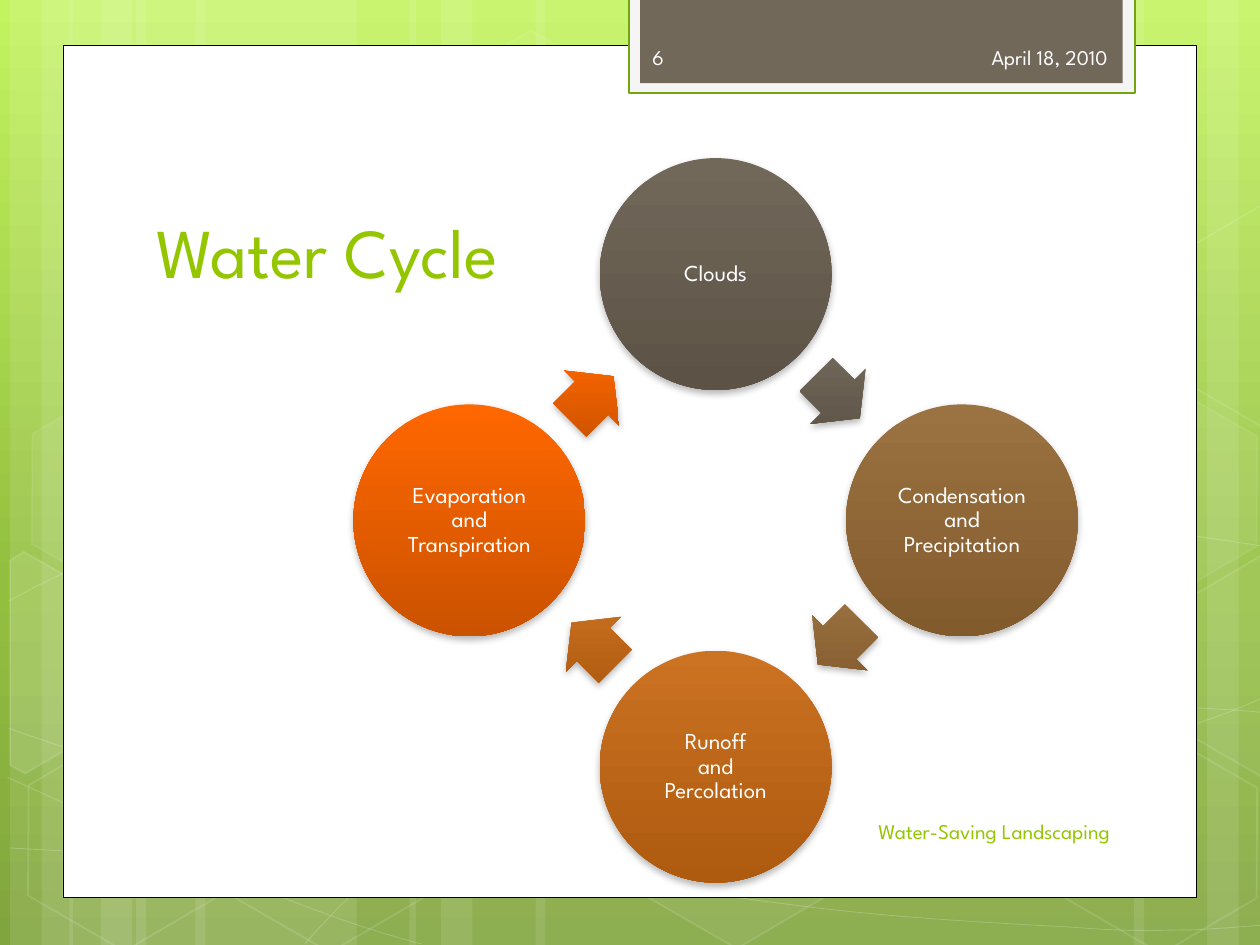
from copy import deepcopy
from math import cos, radians, sin, sqrt

from lxml.etree import SubElement
from pptx import Presentation
from pptx.dml.color import RGBColor
from pptx.enum.shapes import MSO_SHAPE
from pptx.enum.text import MSO_ANCHOR, PP_ALIGN
from pptx.oxml.ns import qn
from pptx.util import Inches, Pt

FONT = "League Spartan"
WHITE = RGBColor(0xFF, 0xFF, 0xFF)
OFF_WHITE = RGBColor(0xFE, 0xFE, 0xFE)
BLACK = RGBColor(0, 0, 0)
LIME = RGBColor(0x94, 0xC6, 0x00)
TAB_EDGE = RGBColor(0x74, 0xA5, 0x10)
TAB_RIM = RGBColor(0xF5, 0xF5, 0xF5)
TAUPE = RGBColor(0x71, 0x68, 0x5A)
BACKDROP = [(0, RGBColor(0xC3, 0xF3, 0x5F)), (62, RGBColor(0x93, 0xBF, 0x3F)),
            (100, RGBColor(0x81, 0xA5, 0x3E))]

STAGES = [
    ("Clouds", TAUPE, RGBColor(0x5C, 0x53, 0x46)),
    ("Condensation\nand\nPrecipitation", RGBColor(0x9B, 0x72, 0x41), RGBColor(0x82, 0x5B, 0x2D)),
    ("Runoff\nand\nPercolation", RGBColor(0xCB, 0x72, 0x23), RGBColor(0xAE, 0x5A, 0x0F)),
    ("Evaporation\nand\nTranspiration", RGBColor(0xFF, 0x67, 0x00), RGBColor(0xCB, 0x52, 0x00)),
]
LABELS = [
    ("Water Cycle", (1.14, 1.12, 7.68, 1.25), 40, LIME, PP_ALIGN.LEFT, MSO_ANCHOR.BOTTOM),
    ("April 18, 2010", (6.56, 0.25, 2.33, 0.4), 12, OFF_WHITE, PP_ALIGN.RIGHT, MSO_ANCHOR.MIDDLE),
    ("Water-Saving Landscaping", (5.08, 6.4, 3.83, 0.4), 12, LIME, PP_ALIGN.RIGHT, MSO_ANCHOR.MIDDLE),
    ("6", (5.08, 0.25, 1.46, 0.4), 12, OFF_WHITE, PP_ALIGN.LEFT, MSO_ANCHOR.MIDDLE),
]
BANDS = [(1.08, 1.75, 0), (0.08, 0.5, 0), (0.33, 0.83, 0), (1.55, 1.75, 0), (0.55, 0.5, 0),
         (0.8, 0.83, 0), (7.33, 1.75, 180), (9.58, 0.5, 180), (9, 0.83, 180), (4.25, 3.08, 0),
         (3.25, 0.5, 0), (3.5, 0.83, 0)]
CURVES = [
    [[(0.07, 6.73)], [(0.61, 6.76), (1.15, 6.79), (1.9, 6.78)], [(2.65, 6.77), (3.58, 6.75), (4.58, 6.65)],
     [(5.58, 6.55), (7, 6.36), (7.92, 6.17)], [(8.83, 5.98), (9.77, 5.68), (10.07, 5.51)]],
    [[(0.07, 4.77)], [(0.36, 4.61), (0.65, 4.46), (1.21, 4.31)], [(1.78, 4.16), (2.59, 3.94), (3.47, 3.87)],
     [(4.36, 3.8), (5.44, 3.79), (6.54, 3.87)], [(7.64, 3.95), (9.47, 4.26), (10.07, 4.34)]],
    [[(0.06, 6.17)], [(1.27, 6.72), (2.47, 7.27), (3.34, 7.49)]],
    [[(0.07, 5.78)], [(0.38, 5.89), (0.7, 6), (1.28, 6.16)], [(1.86, 6.31), (2.73, 6.56), (3.57, 6.73)],
     [(4.4, 6.9), (5.45, 7.08), (6.28, 7.18)], [(7.11, 7.29), (8, 7.33), (8.53, 7.36)],
     [(9.05, 7.4), (9.19, 7.38), (9.45, 7.38)], [(9.71, 7.37), (9.89, 7.35), (10.07, 7.34)]],
    [[(2.42, 7.49)], [(2.6, 7.29), (2.78, 7.09), (3.02, 6.91)], [(3.26, 6.73), (3.6, 6.53), (3.88, 6.39)],
     [(4.16, 6.25), (4.33, 6.19), (4.7, 6.09)], [(5.06, 5.99), (5.73, 5.85), (6.08, 5.78)],
     [(6.44, 5.71), (6.49, 5.71), (6.8, 5.69)], [(7.11, 5.66), (7.6, 5.63), (7.94, 5.62)],
     [(8.29, 5.61), (8.86, 5.62), (8.86, 5.62)], [(9.53, 5.62)],
     [(9.71, 5.63), (9.88, 5.64), (9.97, 5.65)], [(10.06, 5.66), (10.03, 5.65), (10.06, 5.66)]],
]
HEXAGONS = [(3.34, 0.36, 4, 8), (4.97, 5.89, 6, 12), (0.11, 5.91, 0, 12), (0.14, 3.12, 7, 8),
            (1.74, 5.92, 0, 12), (7.53, 4.53, 10, 12), (8.34, 5.93, 0, 12), (8.34, 3.14, 7, 8)]
CUT_HEXAGONS = [
    ([(0.08, 4.45), (0.19, 4.38), (0.96, 4.82), (0.95, 5.7), (0.2, 6.14), (0.08, 6.07)], 10),
    ([(9.26, 4.85), (10.01, 4.41), (10.09, 4.46), (10.09, 6.13), (10.02, 6.17), (9.26, 5.73)], 4),
    ([(9.26, 2.07), (10.01, 1.63), (10.1, 1.68), (10.09, 3.35), (10.02, 3.39), (9.26, 2.95)], 0),
]
CENTER_X, CENTER_Y, RING = 5.68, 4.13, 3.91
DISC, ARROW_LENGTH, ARROW_WIDTH, ARROW_SHIFT = 1.84, 0.49, 0.62, 0.01


def set_alpha(parent, percent):
    if percent < 100:
        color = parent.find(qn("a:solidFill"))[0]
        SubElement(color, qn("a:alpha"), val=str(percent * 1000))


def style(shape, fill=None, fill_alpha=100, line=None, width=1, line_alpha=100):
    shape.shadow.inherit = False
    properties = shape.element.spPr
    if fill is None or fill_alpha == 0:
        shape.fill.background()
    else:
        shape.fill.solid()
        shape.fill.fore_color.rgb = fill
        set_alpha(properties, fill_alpha)
    if line is None:
        shape.line.fill.background()
    else:
        shape.line.color.rgb = line
        shape.line.width = Pt(width)
        set_alpha(properties.find(qn("a:ln")), line_alpha)


def add_preset(kind, left, top, width, height):
    return page.shapes.add_shape(kind, Inches(left), Inches(top), Inches(width), Inches(height))


def add_outline(points, close):
    corners = [(Inches(x), Inches(y)) for x, y in points]
    builder = page.shapes.build_freeform(*corners[0])
    builder.add_line_segments(corners[1:], close=close)
    return builder.convert_to_shape()


def add_curve(segments):
    shape = add_outline([point for segment in segments for point in segment], False)
    outline = next(shape.element.iter(qn("a:path")))
    steps = iter(list(outline)[1:])
    for segment in segments[1:]:
        group = [next(steps) for point in segment]
        if len(group) == 3:
            bend = SubElement(outline, qn("a:cubicBezTo"))
            for step in group:
                bend.append(step[0])
                outline.remove(step)
        else:
            outline.append(group[0])
    return shape


def paint_gradient(fill, owner, stops):
    fill.gradient()
    fill.gradient_angle = 270
    gradient = next(owner.iter(qn("a:gradFill")))
    gradient.set("rotWithShape", "0")
    stop_list = gradient.find(qn("a:gsLst"))
    for stop in list(stop_list):
        stop_list.remove(stop)
    for position, color in stops:
        stop = SubElement(stop_list, qn("a:gs"), pos=str(position * 1000))
        SubElement(stop, qn("a:srgbClr"), val=str(color))


def style_stage(shape, top_color, bottom_color):
    style(shape)
    paint_gradient(shape.fill, shape.element.spPr, [(0, top_color), (100, bottom_color)])
    effects = shape.element.spPr.find(qn("a:effectLst"))
    shadow = SubElement(effects, qn("a:outerShdw"), blurRad=str(Pt(4)), dist=str(Pt(2)),
                        dir="5400000", rotWithShape="0")
    color = SubElement(shadow, qn("a:srgbClr"), val=str(BLACK))
    SubElement(color, qn("a:alpha"), val="28000")


def write(shape, text, size, color, align, anchor):
    frame = shape.text_frame
    frame.word_wrap = True
    frame.vertical_anchor = anchor
    para = frame.paragraphs[0]
    para.text = text
    para.alignment = align
    for span in para.runs:
        span.font.name = FONT
        span.font.size = Pt(size)
        span.font.color.rgb = color
    for line_break in shape.element.iter(qn("a:br")):
        line_break.append(deepcopy(para.runs[0].font._element))
    return para


deck = Presentation()
deck.slide_width, deck.slide_height = Inches(10), Inches(7.5)
page = deck.slides.add_slide(deck.slide_layouts[6])
paint_gradient(page.background.fill, page.element, BACKDROP)

for left, width, rotation in BANDS:
    band = add_preset(MSO_SHAPE.RECTANGLE, left, 0, width, 7.5)
    band.rotation = rotation
    style(band, WHITE, 10)
for segments in CURVES:
    style(add_curve(segments), line=WHITE, width=0.5, line_alpha=20)
for left, top, fill_alpha, line_alpha in HEXAGONS:
    hexagon = add_preset(MSO_SHAPE.HEXAGON, left, top, 1.75, 1.52)
    hexagon.adjustments[0], hexagon.adjustments[1] = 0.285, 1.155
    hexagon.rotation = 30
    style(hexagon, WHITE, fill_alpha, WHITE, 1, line_alpha)
for points, fill_alpha in CUT_HEXAGONS:
    style(add_outline(points, True), WHITE, fill_alpha, WHITE, 1, 12)

style(add_preset(MSO_SHAPE.RECTANGLE, 0.5, 0.36, 9, 6.76), WHITE, line=BLACK, width=0.5)
style(add_preset(MSO_SHAPE.RECTANGLE, 4.99, -0.02, 4.02, 0.76), TAB_RIM, line=TAB_EDGE, width=1.25)
style(add_preset(MSO_SHAPE.RECTANGLE, 5.08, -0.02, 3.83, 0.68), TAUPE)

for index, (name, top_color, bottom_color) in enumerate(STAGES):
    angle = radians(90 * index - 90)
    x, y = CENTER_X + RING / 2 * cos(angle), CENTER_Y + RING / 2 * sin(angle)
    disc = add_preset(MSO_SHAPE.OVAL, x - DISC / 2, y - DISC / 2, DISC, DISC)
    style_stage(disc, top_color, bottom_color)
    frame = disc.text_frame
    frame.margin_left = frame.margin_right = frame.margin_top = frame.margin_bottom = Inches(0.02)
    write(disc, name, 13, WHITE, PP_ALIGN.CENTER, MSO_ANCHOR.MIDDLE).line_spacing = 0.9

    heading = 45 + 90 * index
    turn, reach = radians(heading), RING / 2 / sqrt(2)
    x = CENTER_X + reach * sin(turn) - ARROW_SHIFT * cos(turn)
    y = CENTER_Y - reach * cos(turn) - ARROW_SHIFT * sin(turn)
    arrow = add_preset(MSO_SHAPE.RIGHT_ARROW, x - ARROW_LENGTH / 2, y - ARROW_WIDTH / 2,
                       ARROW_LENGTH, ARROW_WIDTH)
    arrow.adjustments[0], arrow.adjustments[1] = 0.6, 0.5
    arrow.rotation = heading
    style_stage(arrow, top_color, bottom_color)

for text, place, size, color, align, anchor in LABELS:
    box = page.shapes.add_textbox(*map(Inches, place))
    write(box, text, size, color, align, anchor)

deck.save("out.pptx")
